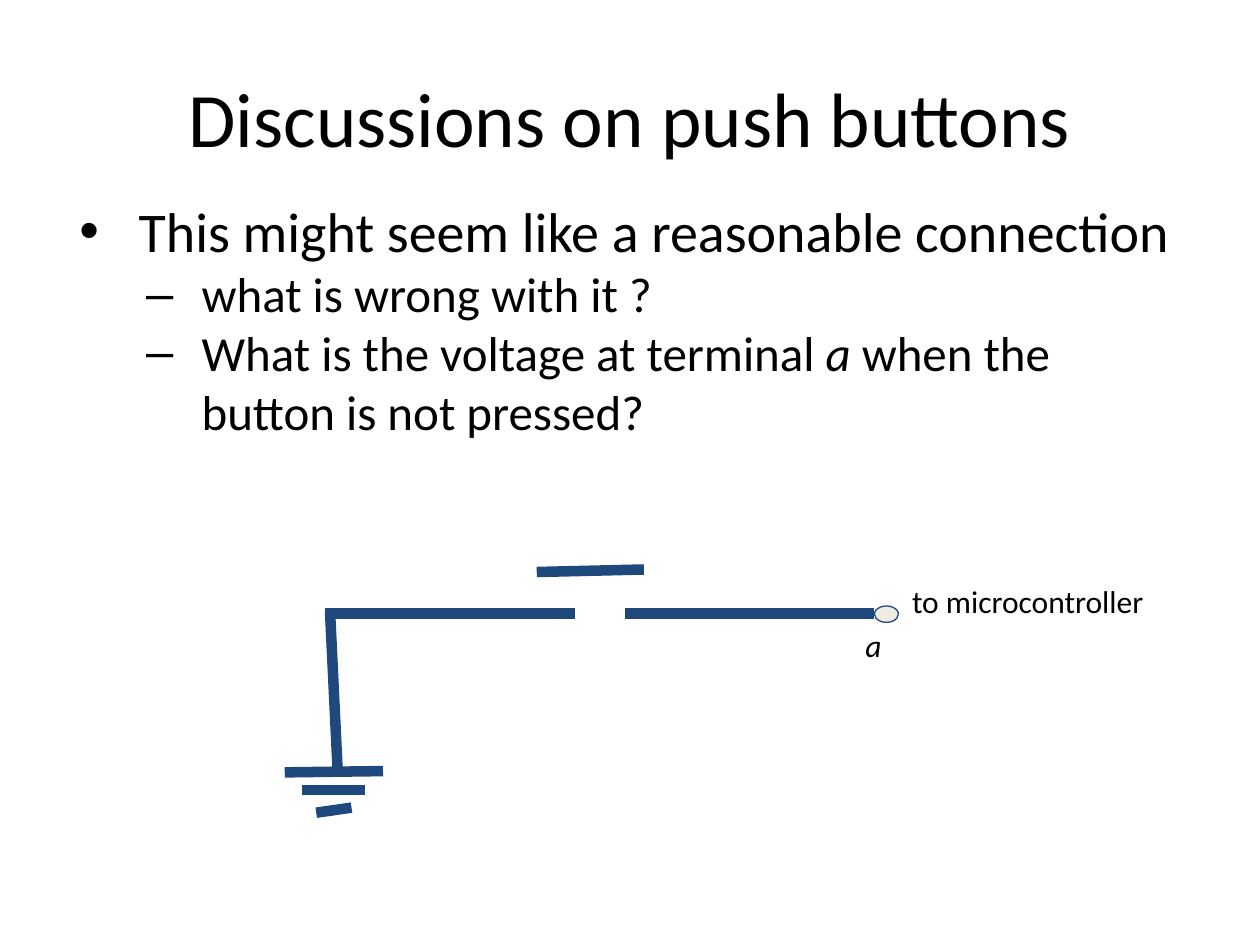
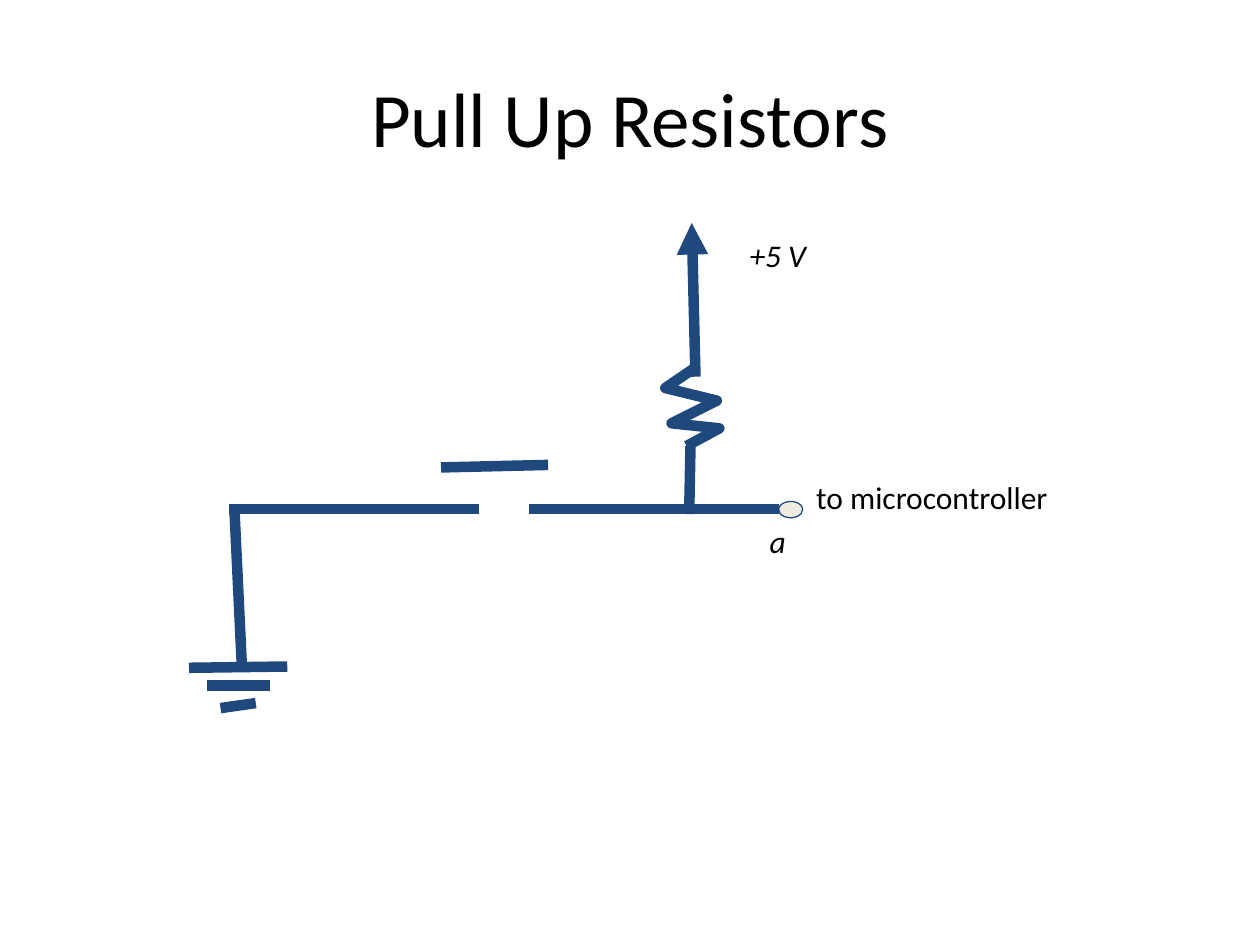
from lxml.etree import SubElement
from pptx import Presentation
from pptx.dml.color import RGBColor
from pptx.enum.shapes import MSO_CONNECTOR, MSO_SHAPE
from pptx.enum.text import MSO_ANCHOR, MSO_AUTO_SIZE, PP_ALIGN
from pptx.oxml.ns import qn
from pptx.util import Pt

PX = 9144  # EMU per px, 100 px to the inch
FONT = "Calibri"
COLORS = {"text": "000000", "wire": "1F497D", "terminal": "EEECE1"}
RGB = {name: RGBColor.from_string(value) for name, value in COLORS.items()}
MARGIN = 10 * PX

TITLES = ["Discussions on push buttons", "Pull Up Resistors"]
OFFSETS = [(0, 0), (-76, -83)]
WIRES = [
    (496, 487, 694, 487),  # button to terminal
    (426, 454, 511, 452),  # button cap
    (258, 487, 456, 487),  # ground side to button
    (262, 486, 268, 612),  # down to ground
    (226, 613, 304, 612),  # ground bars
    (240, 627, 290, 627),
    (251, 645, 279, 641),
]
LABELS = [("to microcontroller", 714, 452, 260, False), ("a", 677, 487, 85, True)]
BULLETS = [
    (0, "•", 32, 50, -47, 6.4, ["This might seem like a reasonable connection"]),
    (1, "–", 28, 100, -44, 0, ["what is wrong with it ?"]),
    (1, "–", 28, 100, -44, 0,
     ["What is the voltage at terminal ", "a ", "when the button is not pressed?"]),
]
RESISTOR = [(550, 293), (528, 308), (569, 318), (533, 336), (571, 340), (545, 354)]


def add_wire(slide, x1, y1, x2, y2):
    ln = slide.shapes.add_connector(
        MSO_CONNECTOR.STRAIGHT, x1 * PX, y1 * PX, x2 * PX, y2 * PX)
    ln.line.color.rgb = RGB["wire"]
    ln.line.width = Pt(6)
    SubElement(ln._element.spPr, qn("a:effectLst"))
    return ln


def set_text(sp, box, text, size, italic=False):
    """Place a text shape and give it the shared margins and font."""
    sp.left, sp.top, sp.width, sp.height = [v * PX for v in box]
    tf = sp.text_frame
    tf.text = text
    tf.word_wrap = True
    tf.auto_size = MSO_AUTO_SIZE.NONE
    tf.margin_left = tf.margin_right = tf.margin_top = tf.margin_bottom = MARGIN
    font = tf.paragraphs[0].font
    font.name, font.size, font.italic = FONT, Pt(size), italic
    font.color.rgb = RGB["text"]
    return tf


prs = Presentation()
prs.slide_width, prs.slide_height = 1000 * PX, 750 * PX
layouts = [prs.slide_layouts[1], prs.slide_layouts[5]]

# Title and push-button circuit on both slides
for layout, title, (dx, dy) in zip(layouts, TITLES, OFFSETS):
    s = prs.slides.add_slide(layout)
    tf = set_text(s.shapes.title, (50, 30, 900, 125), title, 44)
    tf.vertical_anchor = MSO_ANCHOR.MIDDLE
    tf.paragraphs[0].alignment = PP_ALIGN.CENTER

    for x1, y1, x2, y2 in WIRES:
        add_wire(s, x1 + dx, y1 + dy, x2 + dx, y2 + dy)
    for text, x, y, w, italic in LABELS:
        label = s.shapes.add_textbox(0, 0, 0, 0)
        set_text(label, (x + dx, y + dy, w, 85), text, 18, italic)

    terminal = s.shapes.add_shape(
        MSO_SHAPE.OVAL, (694 + dx) * PX, (481 + dy) * PX, 19 * PX, 13 * PX)
    terminal.shadow.inherit = False
    terminal.fill.solid()
    terminal.fill.fore_color.rgb = RGB["terminal"]
    terminal.line.color.rgb = RGB["wire"]
    terminal.line.width = Pt(0.75)

button_slide, resistor_slide = prs.slides

# Slide 1: questions
tf = set_text(button_slide.placeholders[1], (50, 146, 900, 495), "", 32)
tf.vertical_anchor = MSO_ANCHOR.TOP
for i, (level, bullet, size, left, indent, before, parts) in enumerate(BULLETS):
    p = tf.add_paragraph() if i else tf.paragraphs[0]
    p.level = level
    p.alignment = PP_ALIGN.LEFT
    p.space_before = Pt(before)
    p.font.name, p.font.size = FONT, Pt(size)
    p.font.color.rgb = RGB["text"]
    pPr = p._p.get_or_add_pPr()
    pPr.set("marL", str(left * PX))
    pPr.set("indent", str(indent * PX))
    bu = pPr.makeelement(qn("a:buChar"), {"char": bullet})
    pPr.find(qn("a:defRPr")).addprevious(bu)
    for part in parts:
        r = p.add_run()
        r.text = part
        r.font.italic = part == "a "

# Slide 2: pull-up resistor to the supply
add_wire(resistor_slide, 548, 354, 547, 408)
builder = resistor_slide.shapes.build_freeform(*RESISTOR[0], scale=PX)
builder.add_line_segments(RESISTOR[1:], close=False)
resistor = builder.convert_to_shape()
resistor.shadow.inherit = False
resistor.fill.background()
resistor.line.color.rgb = RGB["wire"]
resistor.line.width = Pt(6)

supply = add_wire(resistor_slide, 552, 299, 549, 177)
SubElement(supply.line._get_or_add_ln(), qn("a:tailEnd"), type="triangle")
set_text(resistor_slide.shapes.add_textbox(0, 0, 0, 0),
         (585, 177, 85, 85), "+5 V", 18, True)

prs.save("out.pptx")
